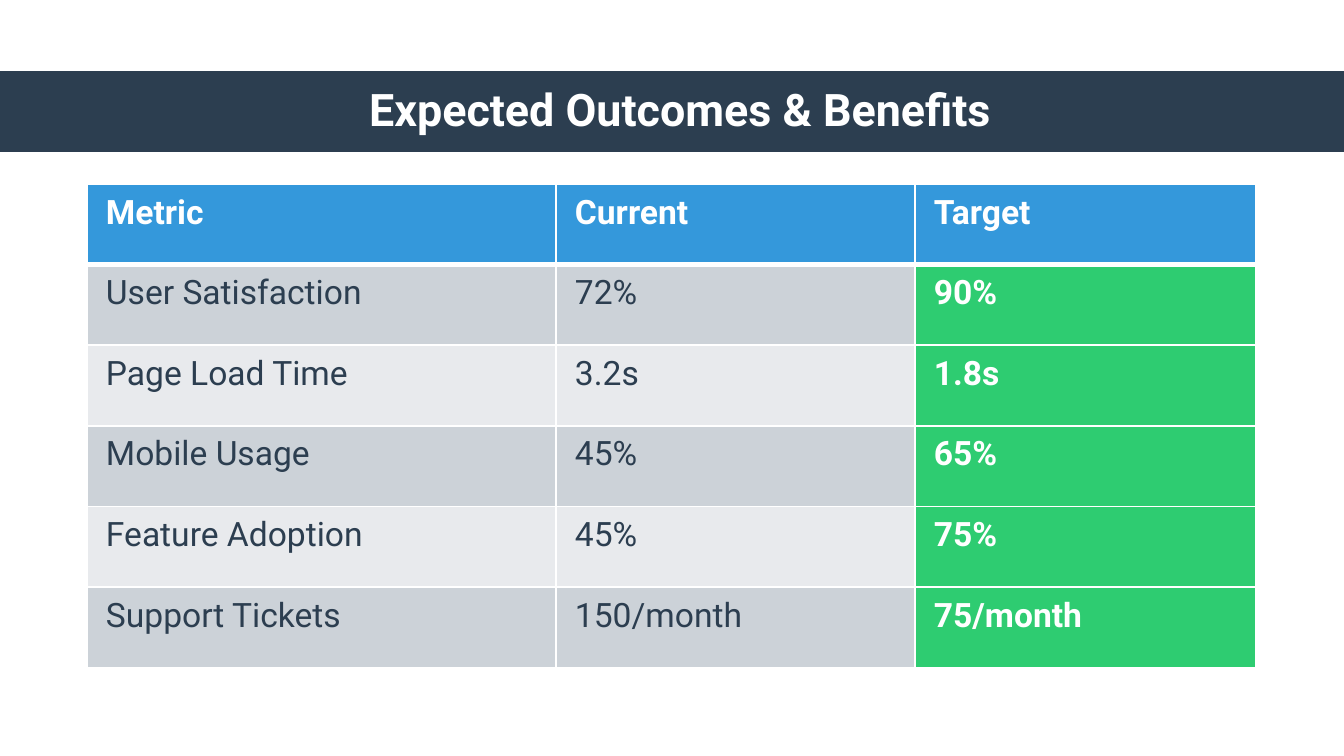
from dataclasses import dataclass

from lxml import etree
from pptx import Presentation
from pptx.dml.color import RGBColor
from pptx.enum.shapes import MSO_SHAPE
from pptx.enum.text import MSO_ANCHOR, PP_ALIGN
from pptx.oxml.ns import qn
from pptx.util import Pt

RECTANGLE = MSO_SHAPE.RECTANGLE
MIDDLE, TOP = MSO_ANCHOR.MIDDLE, MSO_ANCHOR.TOP
CENTER, LEFT = PP_ALIGN.CENTER, PP_ALIGN.LEFT

TITLE = "Expected Outcomes & Benefits"
HEADER = ("Metric", "Current", "Target")
METRICS = [
    ("User Satisfaction", "72%", "90%"),
    ("Page Load Time", "3.2s", "1.8s"),
    ("Mobile Usage", "45%", "65%"),
    ("Feature Adoption", "45%", "75%"),
    ("Support Tickets", "150/month", "75/month"),
]

# Lengths in px
PAGE_SIZE = (1344, 756)
BAR = (0, 71, 1344, 81)
TITLE_BOX = (62, 71, 1236, 82)
TABLE_LEFT, TABLE_TOP, TABLE_HEIGHT = 87, 184, 484
COLUMN_WIDTHS = (469, 359, 341)
CELL_MARGIN_X, CELL_MARGIN_Y = 19, 9


@dataclass(frozen=True)
class Theme:
    font: str = "Roboto"
    title_size: int = 24
    table_size: int = 18
    white: str = "FFFFFF"
    navy: str = "2C3E50"
    blue: str = "3498DB"
    green: str = "2ECC71"
    bands: tuple = ("CCD2D8", "E8EAED")
    thin_line: int = 1
    thick_line: int = 3


THEME = Theme()


def px(length):
    return round(length * 914400 / 134.4)


def fill_solid(target, color):
    target.fill.solid()
    target.fill.fore_color.rgb = RGBColor.from_string(color)


def write(frame, text, *, size, color, bold=False, align=LEFT, spacing=None):
    frame.word_wrap = True
    para = frame.paragraphs[0]
    para.alignment = align
    para.line_spacing = spacing
    span = para.add_run()
    span.text = text
    span.font.name = THEME.font
    span.font.size = Pt(size)
    span.font.bold = bold
    span.font.color.rgb = RGBColor.from_string(color)


def add_borders(cell, top, bottom):
    """Draw white borders; must run before the cell fill, which follows them in the XML."""
    properties = cell._tc.get_or_add_tcPr()
    widths = {"L": THEME.thin_line, "R": THEME.thin_line, "T": top, "B": bottom}
    for side, width in widths.items():
        line = etree.SubElement(properties, qn(f"a:ln{side}"), w=str(Pt(width)))
        fill = etree.SubElement(line, qn("a:solidFill"))
        etree.SubElement(fill, qn("a:srgbClr"), val=THEME.white)


def add_title(page):
    bar = page.shapes.add_shape(RECTANGLE, *map(px, BAR))
    bar.shadow.inherit = False
    fill_solid(bar, THEME.navy)
    bar.line.fill.background()

    box = page.shapes.add_textbox(*map(px, TITLE_BOX))
    box.text_frame.vertical_anchor = MIDDLE
    write(box.text_frame, TITLE, size=THEME.title_size, color=THEME.white,
          bold=True, align=CENTER, spacing=0.9)


def cell_style(row, column):
    """Return fill colour, text colour and boldness."""
    if row == 0:
        return THEME.blue, THEME.white, True
    if column == len(HEADER) - 1:
        return THEME.green, THEME.white, True
    return THEME.bands[(row - 1) % 2], THEME.navy, False


def add_metrics_table(page):
    rows = [HEADER, *METRICS]
    table = page.shapes.add_table(
        len(rows), len(HEADER), px(TABLE_LEFT), px(TABLE_TOP),
        px(sum(COLUMN_WIDTHS)), px(TABLE_HEIGHT)).table
    for column, width in zip(table.columns, COLUMN_WIDTHS):
        column.width = px(width)
    for row in table.rows:
        row.height = px(TABLE_HEIGHT / len(rows))

    for r, values in enumerate(rows):
        for c, text in enumerate(values):
            cell = table.cell(r, c)
            cell.margin_left = cell.margin_right = px(CELL_MARGIN_X)
            cell.margin_top = cell.margin_bottom = px(CELL_MARGIN_Y)
            cell.vertical_anchor = TOP
            add_borders(cell,
                        top=THEME.thick_line if r == 1 else THEME.thin_line,
                        bottom=THEME.thick_line if r == 0 else THEME.thin_line)
            fill, color, bold = cell_style(r, c)
            fill_solid(cell, fill)
            write(cell.text_frame, text, size=THEME.table_size, color=color, bold=bold)


def main():
    deck = Presentation()
    deck.slide_width, deck.slide_height = map(px, PAGE_SIZE)
    page = deck.slides.add_slide(deck.slide_layouts[6])
    fill_solid(page.background, THEME.white)
    add_title(page)
    add_metrics_table(page)
    deck.save("out.pptx")


if __name__ == "__main__":
    main()
